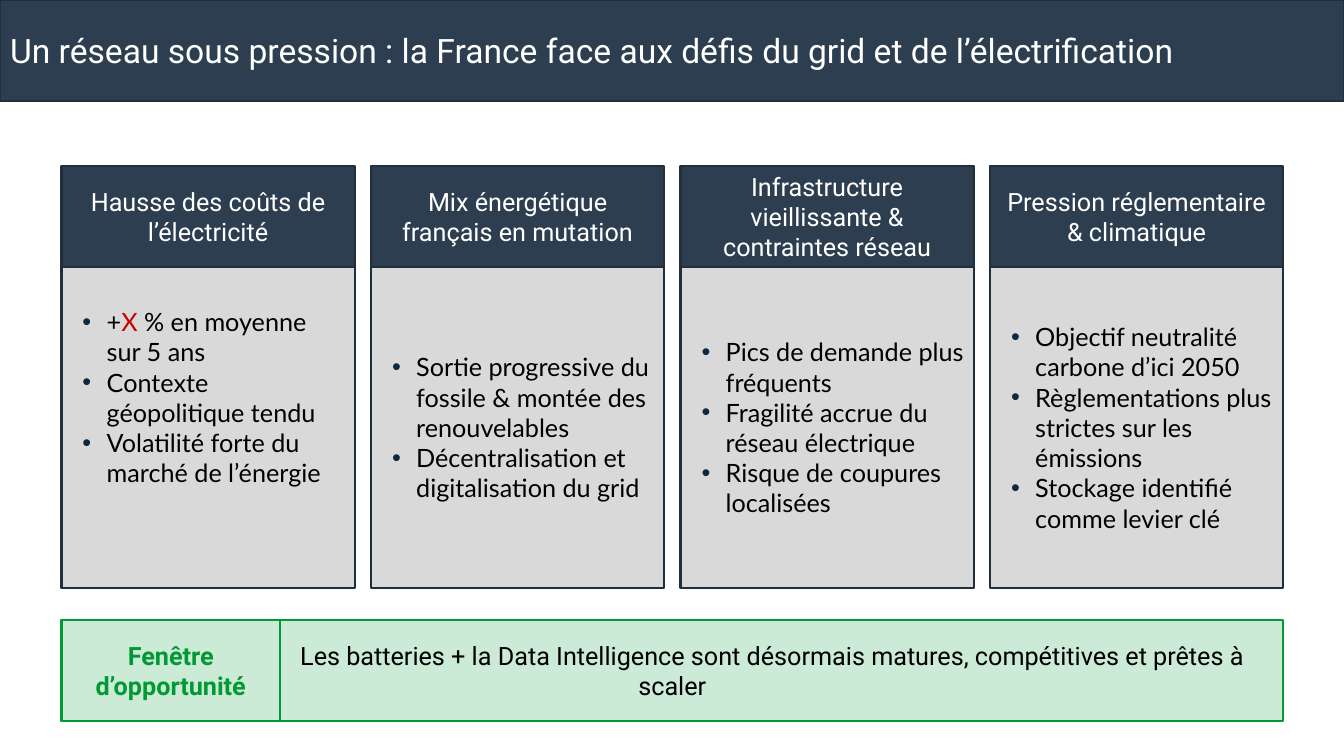
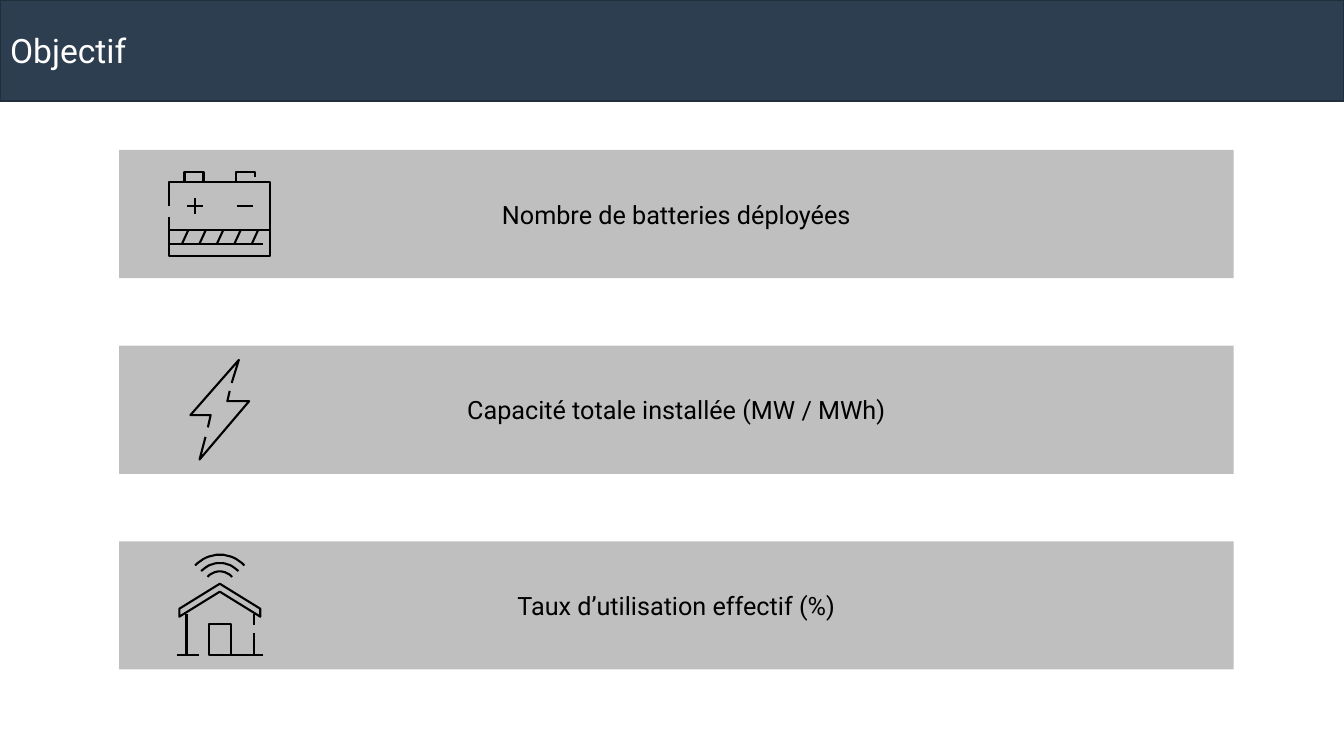
"""Build two slides on the power grid under strain and the battery goals."""
from dataclasses import dataclass
from math import cos, radians, sin

from lxml import etree
from pptx import Presentation
from pptx.dml.color import RGBColor
from pptx.enum.shapes import MSO_SHAPE
from pptx.enum.text import MSO_ANCHOR, MSO_AUTO_SIZE, PP_ALIGN
from pptx.oxml.ns import qn
from pptx.util import Cm, Pt

RECT = MSO_SHAPE.RECTANGLE
MIDDLE = MSO_ANCHOR.MIDDLE
NO_FIT = MSO_AUTO_SIZE.NONE
LEFT, CENTER = PP_ALIGN.LEFT, PP_ALIGN.CENTER
TITLE_ONLY = 5


@dataclass(frozen=True)
class Theme:
    """Colours, fonts and sizes shared by the slides."""
    navy: str = "2C3E50"
    edge: str = "212E3B"
    bullet: str = "0E2841"
    panel: str = "D9D9D9"
    bar: str = "BFBFBF"
    green: str = "009933"
    mint: str = "CCEBD6"
    red: str = "CC0000"
    black: str = "000000"
    white: str = "FFFFFF"
    font: str = "Roboto"
    list_font: str = "Lato"
    title: int = 24
    text: int = 18
    line: float = 1.5


THEME = Theme()
WIDTH, HEIGHT, BAND = 33.87, 19.05, 2.54
MARGIN, COL_W, COL_STEP = 1.55, 7.39, 7.8
HEAD_Y, HEAD_H, BODY_H = 4.19, 2.54, 8.08
NOTE_Y, LABEL_W = 15.62, 5.51
BAR_X, BAR_Y, BAR_W, BAR_H, BAR_STEP = 3, 3.78, 28.09, 3.23, 4.93

COLUMNS = [
    ("Hausse des coûts de l’électricité", 1.65, [
        [("+", THEME.black), ("X", THEME.red),
         (" % en moyenne sur 5 ans", THEME.black)],
        "Contexte géopolitique tendu",
        "Volatilité forte du marché de l’énergie"]),
    ("Mix énergétique français en mutation", 0.13, [
        "Sortie progressive du fossile & montée des renouvelables",
        "Décentralisation et digitalisation du grid"]),
    ("Infrastructure vieillissante & contraintes réseau", 0.13, [
        "Pics de demande plus fréquents",
        "Fragilité accrue du réseau électrique",
        "Risque de coupures localisées"]),
    ("Pression réglementaire & climatique", 0.13, [
        "Objectif neutralité carbone d’ici 2050",
        "Règlementations plus strictes sur les émissions",
        "Stockage identifié comme levier clé"]),
]


def arc(x, y, radius, spread=47, steps=16):
    """Return the points of an arc that opens downward."""
    turns = [radians(spread * (2 * i / steps - 1)) for i in range(steps + 1)]
    return [(x + radius * sin(t), y - radius * cos(t)) for t in turns]


BATTERY = [
    [(127, 142), (127, 81), (381, 81), (381, 267), (127, 267), (127, 170)],
    [(165, 81), (165, 56), (213, 56), (213, 81)],
    [(295, 81), (295, 56), (343, 56), (343, 69)],
    [(127, 201), (381, 201)],
    [(127, 236), (363, 236)],
    [(171, 142), (211, 142)],
    [(191, 122), (191, 162)],
    [(297, 142), (338, 142)],
    *[[(175 + 44 * i, 201), (159 + 44 * i, 236)] for i in range(5)],
]
BOLT = [
    [(218, 230), (203, 287), (328, 140), (273, 140), (279, 114)],
    [(224, 206), (231, 175), (180, 175), (302, 36), (284, 94)],
]
HOUSE = [
    [(152, 170), (254, 107), (356, 170), (356, 190), (254, 127),
     (152, 190), (152, 170)],
    [(170, 183), (170, 287)],
    [(145, 287), (201, 287)],
    [(340, 183), (340, 211)],
    [(340, 231), (340, 287)],
    [(363, 287), (226, 287), (226, 208), (282, 208), (282, 287)],
    *[arc(254, 119, radius) for radius in (85, 64, 43)],
]
GOALS = [
    ("Nombre de batteries déployées", BATTERY),
    ("Capacité totale installée (MW / MWh)", BOLT),
    ("Taux d’utilisation effectif (%)", HOUSE),
]


def rgb(code):
    """Turn a hex code into a colour."""
    return RGBColor.from_string(code)


def assign(target, values):
    """Set each named attribute on the target."""
    for name, value in values.items():
        setattr(target, name, value)


def paint(shape, fill=None, line=None):
    """Set fill and outline, with none where no colour is given."""
    if fill:
        shape.fill.solid()
        shape.fill.fore_color.rgb = rgb(fill)
    else:
        shape.fill.background()
    if line:
        shape.line.color.rgb = rgb(line)
        shape.line.width = Pt(THEME.line)
    else:
        shape.line.fill.background()


def write(para, content, color, align=CENTER, **style):
    """Fill a paragraph with a string or a list of coloured runs."""
    para.alignment = align
    look = {"size": Pt(THEME.text), "name": THEME.font, "bold": False} | style
    runs = [(content, color)] if isinstance(content, str) else content
    for text, tint in runs:
        run = para.add_run()
        run.text = text
        assign(run.font, look)
        run.font.color.rgb = rgb(tint)


def indent(para, left, first):
    """Set the left margin and first-line indent in centimetres."""
    props = para._p.get_or_add_pPr()
    props.set("marL", str(Cm(left)))
    props.set("indent", str(Cm(first)))
    return props


def dot(para):
    """Give a paragraph a hanging bullet."""
    props = indent(para, 0.89, -0.61)
    tint = etree.SubElement(props, qn("a:buClr"))
    etree.SubElement(tint, qn("a:srgbClr")).set("val", THEME.bullet)
    etree.SubElement(props, qn("a:buFont")).set("typeface", "Arial")
    etree.SubElement(props, qn("a:buChar")).set("char", "•")


def box(slide, left, top, width, height, fill, line=None):
    """Add a plain rectangle, measured in centimetres."""
    shape = slide.shapes.add_shape(
        RECT, *(Cm(n) for n in (left, top, width, height)))
    shape.shadow.inherit = False
    paint(shape, fill, line)
    assign(shape.text_frame, {"word_wrap": True, "vertical_anchor": MIDDLE})
    return shape


def label(shape, text, color, **style):
    """Write one paragraph in a shape and return it."""
    para = shape.text_frame.paragraphs[0]
    write(para, text, color, **style)
    return para


def page(deck, text):
    """Add a slide with its title band."""
    slide = deck.slides.add_slide(deck.slide_layouts[TITLE_ONLY])
    title = slide.shapes.title
    assign(title, {"left": 0, "top": 0, "width": Cm(WIDTH),
                   "height": Cm(BAND)})
    paint(title, THEME.navy, THEME.edge)
    assign(title.text_frame, {"word_wrap": True, "auto_size": NO_FIT,
                              "vertical_anchor": MIDDLE})
    label(title, text, THEME.white, align=LEFT, size=Pt(THEME.title))
    return slide


def column(slide, left, head, bottom, items):
    """Add a bulleted panel under its heading."""
    body = box(slide, left, HEAD_Y + HEAD_H, COL_W, BODY_H,
               THEME.panel, THEME.edge)
    frame = body.text_frame
    frame.margin_bottom = Cm(bottom)
    for i, item in enumerate(items):
        para = frame.add_paragraph() if i else frame.paragraphs[0]
        write(para, item, THEME.black, LEFT, name=THEME.list_font)
        dot(para)
    top = box(slide, left, HEAD_Y, COL_W, HEAD_H, THEME.navy, THEME.edge)
    label(top, head, THEME.white)


def banner(slide):
    """Add the green conclusion with its label."""
    width = COL_STEP * (len(COLUMNS) - 1) + COL_W
    note = box(slide, MARGIN, NOTE_Y, width, HEAD_H, THEME.mint, THEME.green)
    para = label(note, "Les batteries + la Data Intelligence sont désormais "
                 "matures, compétitives et prêtes à scaler", THEME.black)
    indent(para, 0, 5.04)
    tag = box(slide, MARGIN, NOTE_Y, LABEL_W, HEAD_H, THEME.mint, THEME.green)
    label(tag, "Fenêtre d’opportunité", THEME.green, bold=True)


def icon(slide, left, top, strokes):
    """Draw strokes, in tenths of a millimetre from the given corner."""
    pen = slide.shapes.build_freeform(*strokes[0][0], scale=Cm(0.01))
    for i, (start, *rest) in enumerate(strokes):
        if i:
            pen.move_to(*start)
        pen.add_line_segments(rest, close=False)
    shape = pen.convert_to_shape(Cm(left), Cm(top))
    shape.shadow.inherit = False
    paint(shape, line=THEME.black)


def goal(slide, top, text, strokes):
    """Add a grey bar with its text and icon."""
    bar = box(slide, BAR_X, top, BAR_W, BAR_H, THEME.bar)
    label(bar, text, THEME.black)
    icon(slide, BAR_X, top, strokes)


def main():
    """Build and save the deck."""
    deck = Presentation()
    assign(deck, {"slide_width": Cm(WIDTH), "slide_height": Cm(HEIGHT)})
    slide = page(deck, "Un réseau sous pression : la France face aux défis "
                 "du grid et de l’électrification")
    for i, (head, bottom, items) in enumerate(COLUMNS):
        column(slide, MARGIN + i * COL_STEP, head, bottom, items)
    banner(slide)
    slide = page(deck, "Objectif")
    for i, (text, strokes) in enumerate(GOALS):
        goal(slide, BAR_Y + i * BAR_STEP, text, strokes)
    deck.save("out.pptx")


if __name__ == "__main__":
    main()
